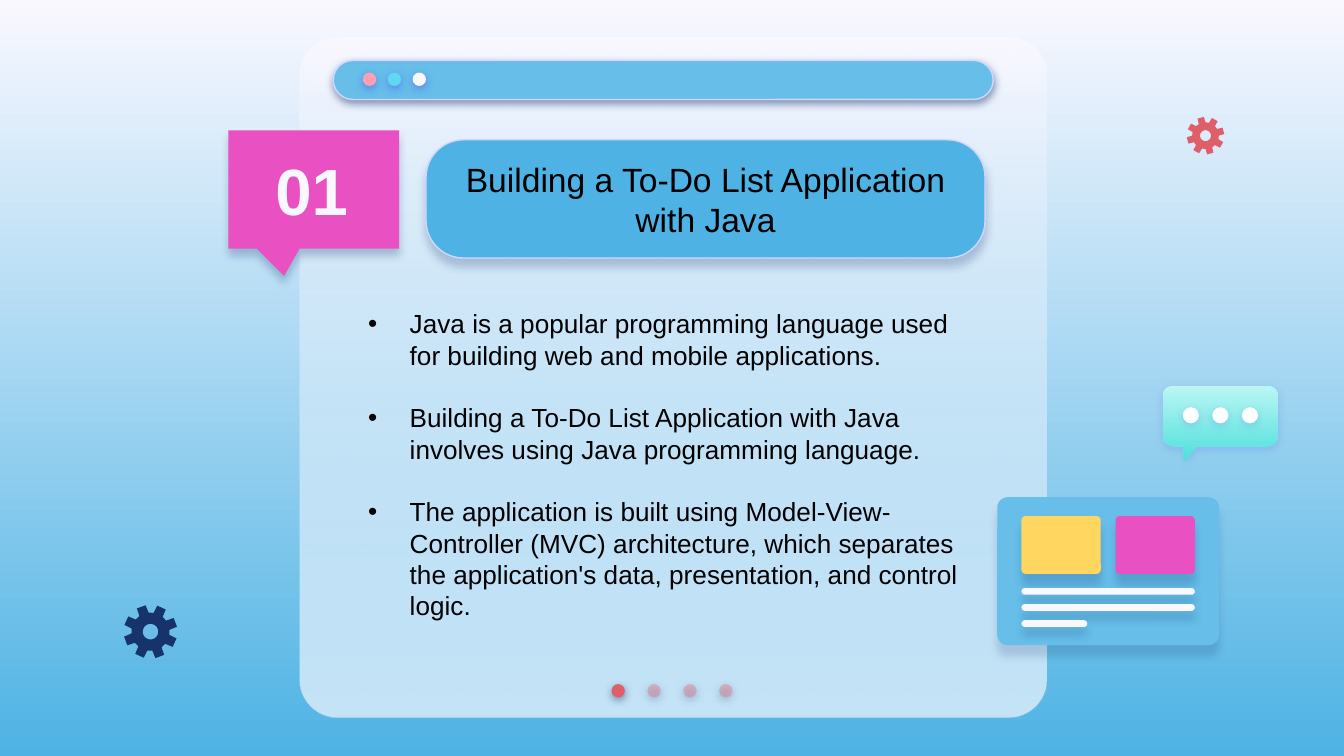
from math import cos, radians, sin

from lxml import etree
from pptx import Presentation
from pptx.dml.color import RGBColor
from pptx.enum.shapes import MSO_SHAPE
from pptx.enum.text import MSO_ANCHOR, PP_ALIGN
from pptx.oxml.ns import qn
from pptx.util import Inches, Pt

ROUNDED = MSO_SHAPE.ROUNDED_RECTANGLE
OVAL = MSO_SHAPE.OVAL
CALLOUT = MSO_SHAPE.ROUNDED_RECTANGULAR_CALLOUT
LEFT, CENTER = PP_ALIGN.LEFT, PP_ALIGN.CENTER
MIDDLE, BOTTOM, TOP = MSO_ANCHOR.MIDDLE, MSO_ANCHOR.BOTTOM, MSO_ANCHOR.TOP

THEME = {
    "font": "Arial", "number": 35, "heading": 18, "body": 14,
    "pale": "F9F8FF", "white": "FFFFFF", "black": "000000",
    "sky": "66BEE9", "blue": "4EB3E4", "navy": "17336B", "violet": "5352EE",
    "edge": "D2D6FF", "pink": "E951C2", "yellow": "FFD65F", "red": "DF5F69",
    "faded_red": "E27B83", "rose": "FDA0B4", "cyan": "60D8F4",
    "mint": "BBF6F4", "teal": "4EE0DB",
}


def apply_fill(fill, colors):
    """One colour gives a solid fill, two a gradient from top to bottom."""
    if len(colors) == 1:
        fill.solid()
        fill.fore_color.rgb = RGBColor.from_string(THEME[colors[0]])
        return
    fill.gradient()
    fill.gradient_angle = 270
    for stop, position, color in zip(fill.gradient_stops, (0, 1), colors):
        stop.position = position
        stop.color.rgb = RGBColor.from_string(THEME[color])


def style(shape, *colors, alpha=None, edge=None, shadow=None, adjustments=()):
    """Shadow is (colour, opacity in percent, distance in points)."""
    for index, value in enumerate(adjustments):
        shape.adjustments[index] = value
    apply_fill(shape.fill, colors)
    properties = shape.element.spPr
    if alpha:
        last_color = list(properties.iter(qn("a:srgbClr")))[-1]
        etree.SubElement(last_color, qn("a:alpha"), val=str(alpha * 1000))
    if edge:
        shape.line.color.rgb = RGBColor.from_string(THEME[edge])
        shape.line.width = Pt(0.75)
    else:
        shape.line.fill.background()
    shape.shadow.inherit = False
    if shadow:
        color, opacity, distance = shadow
        outer = etree.SubElement(
            properties.find(qn("a:effectLst")), qn("a:outerShdw"),
            blurRad=str(Pt(4.5)), dist=str(Pt(distance)), dir="5400000",
            algn="bl", rotWithShape="0")
        shade = etree.SubElement(outer, qn("a:srgbClr"), val=THEME[color])
        etree.SubElement(shade, qn("a:alpha"), val=str(opacity * 1000))
    return shape


# Widescreen slide, 16 to 9
presentation = Presentation()
presentation.slide_width = Inches(10)
presentation.slide_height = Inches(10 * 9 / 16)
slide = presentation.slides.add_slide(presentation.slide_layouts[5])
shapes = slide.shapes
apply_fill(slide.background.fill, ["pale", "blue"])

# Central panel: opaque base under a fading tint
for colors, alpha in ((["pale"], None), (["pale", "sky"], 35)):
    panel = shapes.add_shape(ROUNDED, Inches(2.23), Inches(0.28), Inches(5.56), Inches(5.06))
    style(panel, *colors, alpha=alpha, adjustments=[0.056])

# Page dots
for index in range(4):
    dot = shapes.add_shape(OVAL, Inches(4.55 + index * 0.267), Inches(5.09), Inches(0.1), Inches(0.1))
    style(dot, "faded_red" if index else "red", alpha=44 if index else None,
          shadow=("navy", 50, 1.5))

# Window bar with its buttons
bar = shapes.add_shape(ROUNDED, Inches(2.48), Inches(0.45), Inches(4.91), Inches(0.29))
style(bar, "sky", edge="edge", shadow=("navy", 50, 1.5), adjustments=[0.5])
for index, color in enumerate(("rose", "cyan", "pale")):
    button = shapes.add_shape(OVAL, Inches(2.7 + index * 0.185), Inches(0.54), Inches(0.1), Inches(0.1))
    style(button, color, shadow=("violet", 50, 1.5))

# Number callout and heading
callout = shapes.add_shape(CALLOUT, Inches(1.7), Inches(0.97), Inches(1.27), Inches(0.88))
style(callout, "pink", shadow=("navy", 25, 3.8), adjustments=[-0.174, 0.731, 0])
heading = shapes.add_shape(ROUNDED, Inches(3.17), Inches(1.04), Inches(4.16), Inches(0.88))
style(heading, "blue", edge="edge", shadow=("navy", 24, 3.8), adjustments=[0.317])

# Page card: frame, two tiles, three text lines
card_parts = [
    (7.42, 3.7, 1.65, 1.1, "sky", 0.07, 17, 6),
    (7.6, 3.84, 0.59, 0.43, "yellow", 0.07, 20, 6),
    (8.3, 3.84, 0.59, 0.43, "pink", 0.07, 20, 6),
]
for index, width in enumerate((1.29, 1.29, 0.49)):
    card_parts.append((7.6, 4.375 + index * 0.12, width, 0.05, "pale", 0.5, 21, 4.5))
for left, top, width, height, color, rounding, opacity, distance in card_parts:
    part = shapes.add_shape(ROUNDED, Inches(left), Inches(top), Inches(width), Inches(height))
    style(part, color, shadow=("navy", opacity, distance), adjustments=[rounding])

# Chat bubble: four rounded corners, with the tail before the bottom left one
radius = 0.08
outline = []
for x, y, start in ((8.73, 2.95, 180), (9.43, 2.95, 270), (9.43, 3.24, 0), (8.73, 3.24, 90)):
    if start == 90:
        outline += [(8.91, 3.32), (8.81, 3.43), (8.81, 3.32)]
    for step in range(0, 91, 10):
        angle = radians(start + step)
        outline.append((x + radius * cos(angle), y + radius * sin(angle)))
points = [(Inches(x), Inches(y)) for x, y in outline]
builder = shapes.build_freeform(*points[0])
builder.add_line_segments(points[1:])
style(builder.convert_to_shape(), "mint", "teal", shadow=("violet", 18, 1.5))
for index in range(3):
    dot = shapes.add_shape(OVAL, Inches(8.8 + index * 0.22), Inches(3.03), Inches(0.12), Inches(0.12))
    style(dot, "white", shadow=("violet", 18, 1.5))

# Gears: eight teeth around a round hole
for center_x, center_y, radius, tilt, color in (
        (1.12, 4.7, 0.2, -20.5, "navy"), (8.97, 1.01, 0.14, -15, "red")):
    rim = [(tooth * 45 + offset, radius * scale) for tooth in range(8)
           for offset, scale in ((-15, 0.71), (-10, 1), (10, 1), (15, 0.71))]
    hole = [(angle, radius * 0.29) for angle in range(0, 360, 15)]
    contours = [
        [(Inches(center_x + distance * sin(radians(angle + tilt))),
          Inches(center_y - distance * cos(radians(angle + tilt))))
         for angle, distance in contour] for contour in (rim, hole)]
    builder = shapes.build_freeform(*contours[0][0])
    builder.add_line_segments(contours[0][1:])
    builder.move_to(*contours[1][0])
    builder.add_line_segments(contours[1][1:])
    style(builder.convert_to_shape(), color)

# Title placeholder, brought in front of its callout
title = shapes.title
title.left, title.top, title.width, title.height = Inches(1.79), Inches(1.02), Inches(1.06), Inches(0.78)
title.element.getparent().append(title.element)

# All text
body = shapes.add_textbox(Inches(2.64), Inches(2.24), Inches(4.69), Inches(2.69))
bullets = [
    "Java is a popular programming language used for building web and mobile applications.",
    "Building a To-Do List Application with Java involves using Java programming language.",
    "The application is built using Model-View-Controller (MVC) architecture, which separates "
    "the application's data, presentation, and control logic.",
]
for shape, lines, size, color, bold, alignment, anchor, inset in (
        (title, ["01"], "number", "pale", True, CENTER, BOTTOM, 0.1),
        (heading, ["Building a To-Do List Application with Java"],
         "heading", "black", False, CENTER, MIDDLE, 0.1),
        (body, bullets, "body", "black", False, LEFT, TOP, None)):
    frame = shape.text_frame
    frame_format = {"word_wrap": True, "vertical_anchor": anchor}
    if inset:
        for side in ("left", "right", "top", "bottom"):
            frame_format[f"margin_{side}"] = Inches(inset)
    for name, value in frame_format.items():
        setattr(frame, name, value)
    frame.text = "\n".join(lines)
    for paragraph in frame.paragraphs:
        paragraph.alignment = alignment
        font = paragraph.runs[0].font
        for name, value in {"name": THEME["font"], "size": Pt(THEME[size]), "bold": bold}.items():
            setattr(font, name, value)
        font.color.rgb = RGBColor.from_string(THEME[color])

# Bullets with hanging indents and a gap of one line
for index, paragraph in enumerate(body.text_frame.paragraphs):
    paragraph.space_before = Pt(16.7 if index else 0)
    properties = paragraph._p.get_or_add_pPr()
    properties.set("marL", str(Inches(0.31)))
    properties.set("indent", str(-Inches(0.31)))
    etree.SubElement(properties, qn("a:buFont"), typeface=THEME["font"])
    etree.SubElement(properties, qn("a:buChar"), char="•")

presentation.save("out.pptx")
